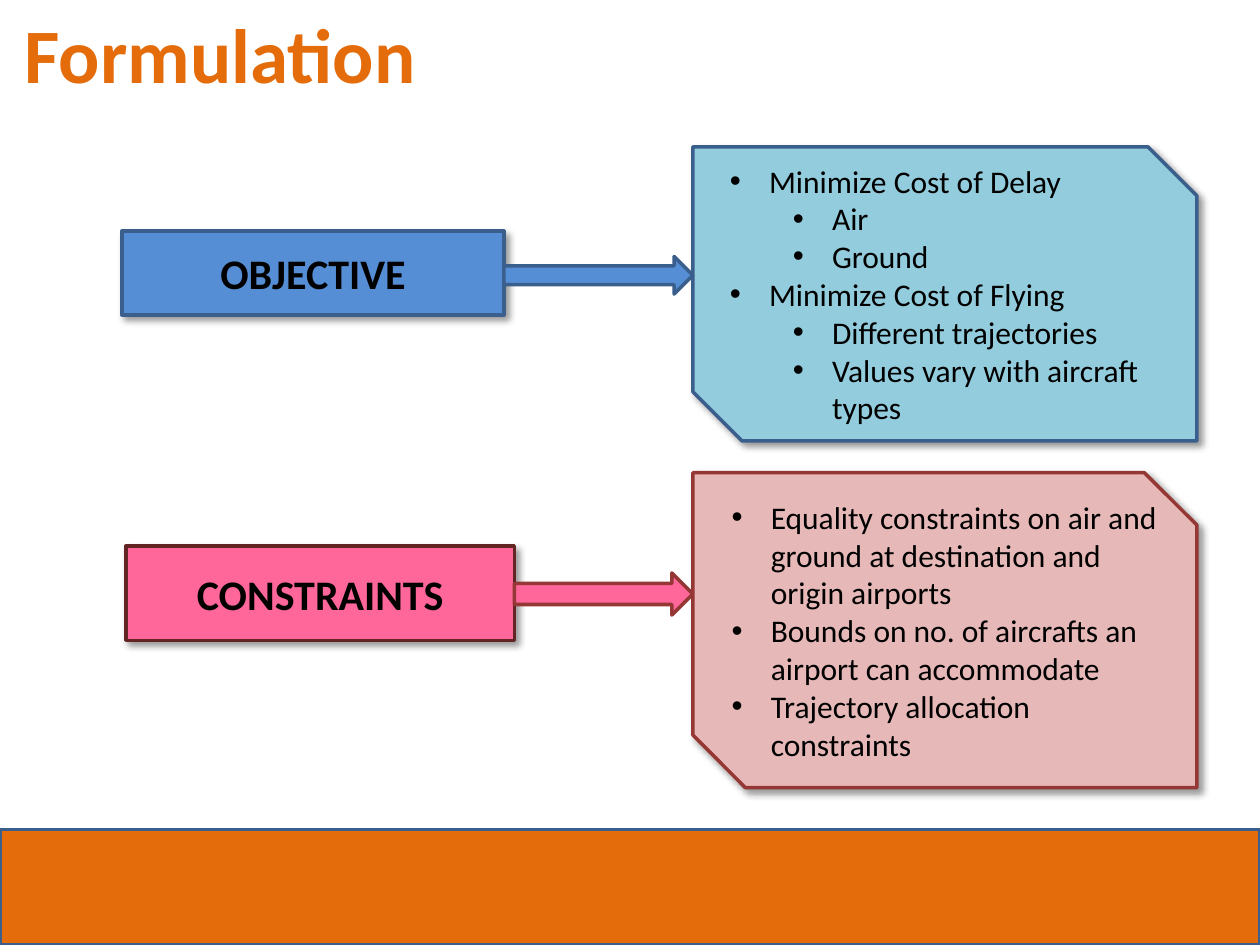
from lxml.etree import SubElement
from pptx import Presentation
from pptx.dml.color import RGBColor
from pptx.enum.shapes import MSO_SHAPE
from pptx.enum.text import MSO_ANCHOR, PP_ALIGN
from pptx.oxml.ns import qn
from pptx.util import Cm, Pt

FONT = "Calibri"
BLACK = RGBColor(0x00, 0x00, 0x00)
ORANGE = RGBColor(0xE4, 0x6C, 0x0A)
BLUE = RGBColor(0x55, 0x8E, 0xD5)
BLUE_EDGE = RGBColor(0x3A, 0x5F, 0x8C)
PALE_BLUE = RGBColor(0x93, 0xCD, 0xDD)
PINK = RGBColor(0xFF, 0x66, 0x99)
DARK_RED = RGBColor(0x63, 0x25, 0x23)
RED_EDGE = RGBColor(0x95, 0x37, 0x35)
PALE_RED = RGBColor(0xE6, 0xB9, 0xB8)

OBJECTIVES = [
    (0, "Minimize Cost of Delay"),
    (1, "Air"),
    (1, "Ground"),
    (0, "Minimize Cost of Flying"),
    (1, "Different trajectories"),
    (1, "Values vary with aircraft types"),
]
CONSTRAINTS = [
    (0, "Equality constraints on air and ground at destination and origin airports"),
    (0, "Bounds on no. of aircrafts an airport can accommodate"),
    (0, "Trajectory allocation constraints"),
]


def add_span(para, text, size, color=BLACK, bold=False):
    """Append one formatted run to a paragraph."""
    span = para.add_run()
    span.text = text
    span.font.name = FONT
    span.font.size = Pt(size)
    span.font.bold = bold
    span.font.color.rgb = color


def add_block(page, kind, place, fill, edge):
    """Draw a filled, outlined shape; place is left, top, width, height in cm."""
    block = page.shapes.add_shape(kind, *map(Cm, place))
    block.shadow.inherit = False
    block.fill.solid()
    block.fill.fore_color.rgb = fill
    block.line.color.rgb = edge
    block.line.width = Pt(2)
    return block


def add_shadow(block):
    """Give a shape a soft shadow towards its lower right."""
    effects = block._element.spPr.find(qn("a:effectLst"))
    shadow = SubElement(effects, qn("a:outerShdw"), blurRad=str(Pt(4)), dist=str(Pt(3)),
                        dir="2700000", algn="tl", rotWithShape="0")
    color = SubElement(shadow, qn("a:srgbClr"), val=str(BLACK))
    SubElement(color, qn("a:alpha"), val="40000")


def add_title(page, text, place):
    """Add the centred heading of the page."""
    box = page.shapes.add_textbox(*map(Cm, place))
    box.text_frame.word_wrap = True
    para = box.text_frame.paragraphs[0]
    para.alignment = PP_ALIGN.CENTER
    add_span(para, text, 44, ORANGE, True)


def add_label(page, text, place, fill, edge):
    """Add a shadowed rectangle with a bold centred label."""
    block = add_block(page, MSO_SHAPE.RECTANGLE, place, fill, edge)
    add_shadow(block)
    block.text_frame.vertical_anchor = MSO_ANCHOR.MIDDLE
    para = block.text_frame.paragraphs[0]
    para.alignment = PP_ALIGN.CENTER
    add_span(para, text, 24, bold=True)


def add_bullets(page, items, place, fill, edge):
    """Add a snipped box holding a two-level bullet list."""
    block = add_block(page, MSO_SHAPE.SNIP_2_DIAG_RECTANGLE, place, fill, edge)
    add_shadow(block)
    frame = block.text_frame
    frame.word_wrap = True
    frame.vertical_anchor = MSO_ANCHOR.MIDDLE
    for index, (level, text) in enumerate(items):
        para = frame.add_paragraph() if index else frame.paragraphs[0]
        para.alignment = PP_ALIGN.LEFT
        para.level = level
        properties = para._p.get_or_add_pPr()
        properties.set("marL", str(Cm(0.79 + 1.27 * level)))
        properties.set("indent", str(Cm(-0.79)))
        SubElement(properties, qn("a:buFont"), typeface="Arial")
        SubElement(properties, qn("a:buChar"), char="•")
        add_span(para, text, 18)


def main():
    """Build the formulation slide."""
    deck = Presentation()
    deck.slide_width, deck.slide_height = Cm(25.4), Cm(19.05)
    page = deck.slides.add_slide(deck.slide_layouts[6])

    add_block(page, MSO_SHAPE.RECTANGLE, (0, 16.72, 25.4, 2.33), ORANGE, BLUE_EDGE)
    add_title(page, "Formulation", (-0.43, 0, 9.74, 3.18))
    add_label(page, "OBJECTIVE", (2.46, 4.66, 7.7, 1.69), BLUE, BLUE_EDGE)
    add_label(page, "CONSTRAINTS", (2.54, 11.01, 7.83, 1.9), PINK, DARK_RED)
    add_bullets(page, CONSTRAINTS, (13.97, 9.53, 10.16, 6.35), PALE_RED, RED_EDGE)
    add_bullets(page, OBJECTIVES, (13.97, 2.96, 10.16, 5.93), PALE_BLUE, BLUE_EDGE)
    add_block(page, MSO_SHAPE.RIGHT_ARROW, (10.16, 5.17, 3.81, 0.76), BLUE, BLUE_EDGE)
    add_block(page, MSO_SHAPE.RIGHT_ARROW, (10.37, 11.55, 3.6, 0.85), PINK, RED_EDGE)

    deck.save("out.pptx")


if __name__ == "__main__":
    main()
